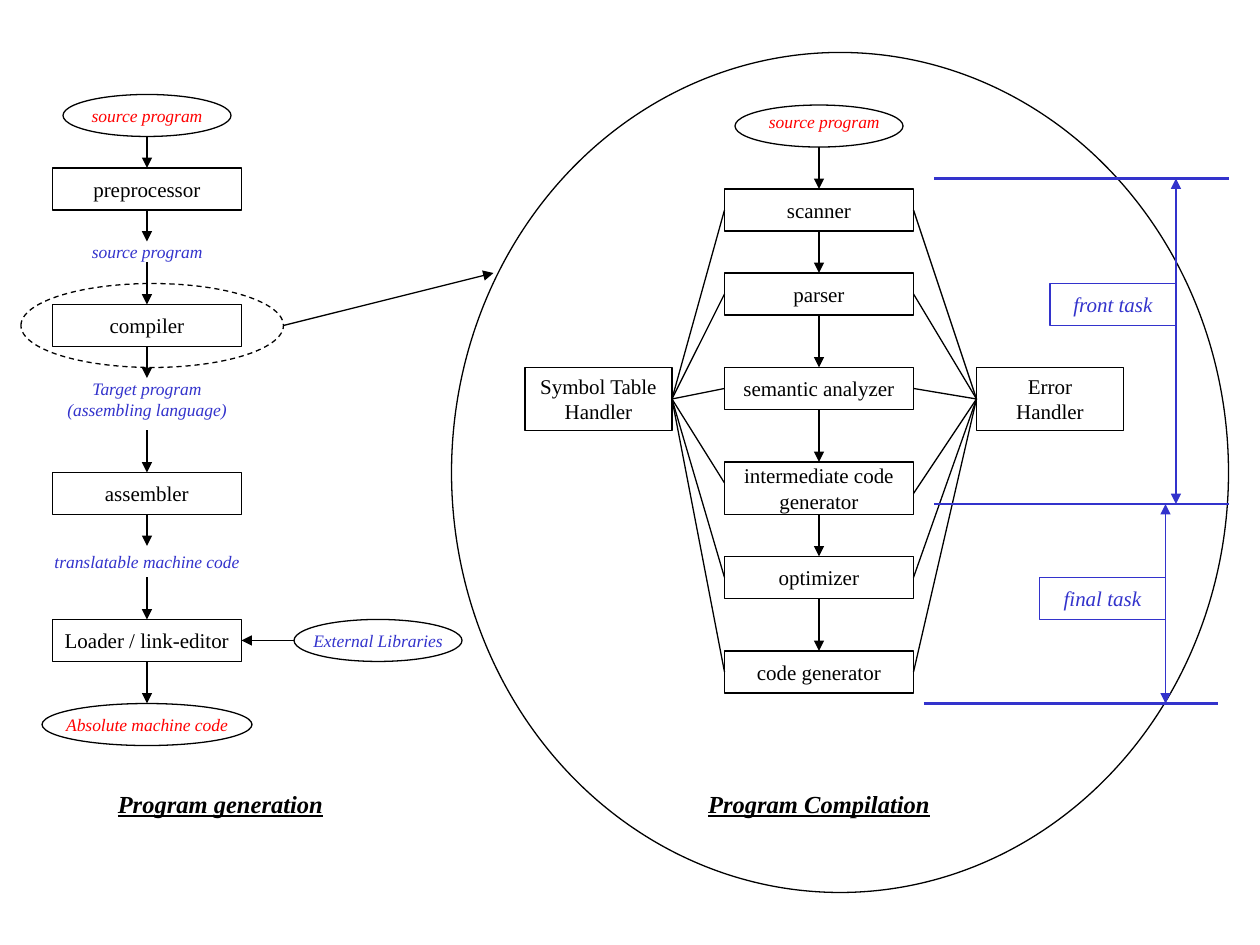
from dataclasses import dataclass
from enum import Enum
from itertools import pairwise

from lxml import etree
from pptx import Presentation
from pptx import util as u
from pptx.dml.color import RGBColor
from pptx.enum import dml, shapes, text
from pptx.oxml import ns

PX = 9525  # EMU in one px; 96 px make an inch


def px(length: int) -> u.Emu:
    return u.Emu(length * PX)


@dataclass(frozen=True)
class Theme:
    font: str = "Times New Roman"
    ink: RGBColor = RGBColor(0x00, 0x00, 0x00)
    paper: RGBColor = RGBColor(0xFF, 0xFF, 0xFF)
    red: RGBColor = RGBColor(0xFF, 0x00, 0x00)
    blue: RGBColor = RGBColor(0x33, 0x33, 0xCC)
    small: float = 10
    body: float = 12
    title: float = 14
    thin: float = 0.75
    thick: float = 1.5


THEME = Theme()


class Kind(Enum):
    BOX = shapes.MSO_SHAPE.RECTANGLE
    OVAL = shapes.MSO_SHAPE.OVAL
    LABEL = None


class Side(Enum):
    TOP = 0
    LEFT = 1
    BOTTOM = 2
    RIGHT = 3


@dataclass(frozen=True)
class Node:
    kind: Kind
    x: int
    y: int
    w: int
    h: int
    lines: tuple[str, ...] = ()
    size: float = THEME.body
    color: RGBColor = THEME.ink
    italic: bool = False
    heading: bool = False
    fill: bool = False
    outline: RGBColor = THEME.ink
    dashed: bool = False
    gap_below: int = 0  # room left before the outgoing arrow
    anchor: text.MSO_ANCHOR = text.MSO_ANCHOR.MIDDLE


def box(x: int, y: int, w: int, h: int, *lines: str) -> Node:
    return Node(Kind.BOX, x, y, w, h, lines, fill=True)


def data(kind: Kind, x: int, y: int, w: int, h: int, *lines: str,
         color: RGBColor = THEME.blue, **extra) -> Node:
    return Node(kind, x, y, w, h, lines, THEME.small, color, italic=True, **extra)


def task(x: int, y: int, name: str, fill: bool) -> Node:
    return Node(Kind.BOX, x, y, 96, 32, (name,), color=THEME.blue, italic=True,
                fill=fill, outline=THEME.blue)


def title(x: int, words: str) -> Node:
    return Node(Kind.LABEL, x, 600, 256, 24, (words,), THEME.title,
                italic=True, heading=True)


def draw_node(slide, node: Node):
    place = [px(v) for v in (node.x, node.y, node.w, node.h)]
    if node.kind is Kind.LABEL:
        shape = slide.shapes.add_textbox(*place)
    else:
        shape = slide.shapes.add_shape(node.kind.value, *place)
        shape.shadow.inherit = False
        shape.line.color.rgb = node.outline
        shape.line.width = u.Pt(THEME.thin)
        if node.dashed:
            shape.line.dash_style = dml.MSO_LINE.DASH
        if node.fill:
            shape.fill.solid()
            shape.fill.fore_color.rgb = THEME.paper
        else:
            shape.fill.background()
    frame = shape.text_frame
    frame.word_wrap = False
    frame.vertical_anchor = node.anchor
    if node.kind is Kind.LABEL:  # full width keeps each label on one line
        frame.margin_left = frame.margin_right = 0
    for i, line in enumerate(node.lines):
        paragraph = frame.add_paragraph() if i else frame.paragraphs[0]
        paragraph.alignment = text.PP_ALIGN.CENTER
        run = paragraph.add_run()
        run.text = line
        font = run.font
        font.name, font.size = THEME.font, u.Pt(node.size)
        font.color.rgb = node.color
        font.italic = node.italic
        font.bold = font.underline = node.heading
    return shape


def draw_line(slide, start: tuple[int, int], end: tuple[int, int],
              color: RGBColor = THEME.ink, width: float = THEME.thin,
              heads: tuple[str, ...] = ()):
    line = slide.shapes.add_connector(
        shapes.MSO_CONNECTOR.STRAIGHT, *(px(v) for v in (*start, *end)))
    line.line.color.rgb = color
    line.line.width = u.Pt(width)
    for head in heads:
        etree.SubElement(line.get_or_add_ln(), ns.qn(f"a:{head}"), type="triangle")
    etree.SubElement(line._element.spPr, ns.qn("a:effectLst"))
    return line


def side_point(node: Node, side: Side) -> tuple[int, int]:
    mid_x, mid_y = node.x + node.w // 2, node.y + node.h // 2
    return {Side.TOP: (mid_x, node.y), Side.LEFT: (node.x, mid_y),
            Side.BOTTOM: (mid_x, node.y + node.h + node.gap_below),
            Side.RIGHT: (node.x + node.w, mid_y)}[side]


def join(slide, drawn: dict, a: Node, a_side: Side, b: Node, b_side: Side,
         heads: tuple[str, ...] = (), shift: int = 0) -> None:
    """Link two nodes; only true side middles of rectangles are glued."""
    end_x, end_y = side_point(b, b_side)
    line = draw_line(slide, side_point(a, a_side), (end_x, end_y + shift), heads=heads)
    if a.kind is not Kind.OVAL and not a.gap_below:
        line.begin_connect(drawn[a], a_side.value)
    if b.kind is not Kind.OVAL and not shift:
        line.end_connect(drawn[b], b_side.value)


# Program generation, top to bottom
loader = box(40, 472, 144, 32, "Loader / link-editor")
GENERATION = [
    data(Kind.OVAL, 48, 72, 128, 32, "source program", color=THEME.red),
    box(40, 128, 144, 32, "preprocessor"),
    data(Kind.LABEL, 48, 184, 128, 16, "source program"),
    box(40, 232, 144, 32, "compiler"),
    data(Kind.LABEL, 40, 288, 144, 32, "Target program", "(assembling language)",
         gap_below=8),
    box(40, 360, 144, 32, "assembler"),
    data(Kind.LABEL, 40, 416, 144, 24, "translatable machine code"),
    loader,
    data(Kind.OVAL, 32, 536, 160, 32, "Absolute machine code", color=THEME.red),
]
libraries = data(Kind.OVAL, 224, 472, 128, 32, "External Libraries", fill=True)

# Program compilation, top to bottom
input_oval = Node(Kind.OVAL, 560, 80, 128, 32)
input_label = data(Kind.LABEL, 576, 80, 104, 26, "source program",
                   color=THEME.red, anchor=text.MSO_ANCHOR.TOP)
intermediate = box(552, 352, 144, 40, "intermediate code", "generator")
PHASES = [
    box(552, 144, 144, 32, "scanner"),
    box(552, 208, 144, 32, "parser"),
    box(552, 280, 144, 32, "semantic analyzer"),
    intermediate,
    box(552, 424, 144, 32, "optimizer"),
    box(552, 496, 144, 32, "code generator"),
]
symbols = box(400, 280, 112, 48, "Symbol Table", "Handler")
errors = box(744, 280, 112, 48, "Error", "Handler")

# Zoom from the compiler into its phases
compiler_ring = Node(Kind.OVAL, 16, 216, 200, 64, dashed=True)
zoom_ring = Node(Kind.OVAL, 344, 40, 592, 640)

OTHERS = [libraries, input_oval, input_label, symbols, errors, compiler_ring, zoom_ring,
          title(40, "Program generation"), title(496, "Program Compilation"),
          task(792, 440, "final task", fill=False), task(800, 216, "front task", fill=True)]


def main() -> None:
    deck = Presentation()
    deck.slide_width, deck.slide_height = px(960), px(720)
    slide = deck.slides.add_slide(deck.slide_layouts[6])
    drawn = {node: draw_node(slide, node) for node in GENERATION + PHASES + OTHERS}

    # Flow arrows
    arrow = ("tailEnd",)
    for flow in (GENERATION, [input_oval, *PHASES]):
        for a, b in pairwise(flow):
            join(slide, drawn, a, Side.BOTTOM, b, Side.TOP, arrow)
    join(slide, drawn, libraries, Side.LEFT, loader, Side.RIGHT, arrow)
    draw_line(slide, side_point(compiler_ring, Side.RIGHT), (376, 208), heads=arrow)

    # Handlers fan out to every phase
    for phase in PHASES:
        shift = 4 if phase is intermediate else 0
        join(slide, drawn, symbols, Side.RIGHT, phase, Side.LEFT, shift=-shift)
        join(slide, drawn, errors, Side.LEFT, phase, Side.RIGHT, shift=shift)

    # Front and final task spans
    for x, y in ((712, 136), (712, 384), (704, 536)):
        draw_line(slide, (x, y), (x + 224, y), THEME.blue, THEME.thick)
    for x, top, bottom in ((896, 136, 384), (888, 384, 536)):
        draw_line(slide, (x, top), (x, bottom), THEME.blue, heads=("headEnd", "tailEnd"))

    deck.save("out.pptx")


if __name__ == "__main__":
    main()
